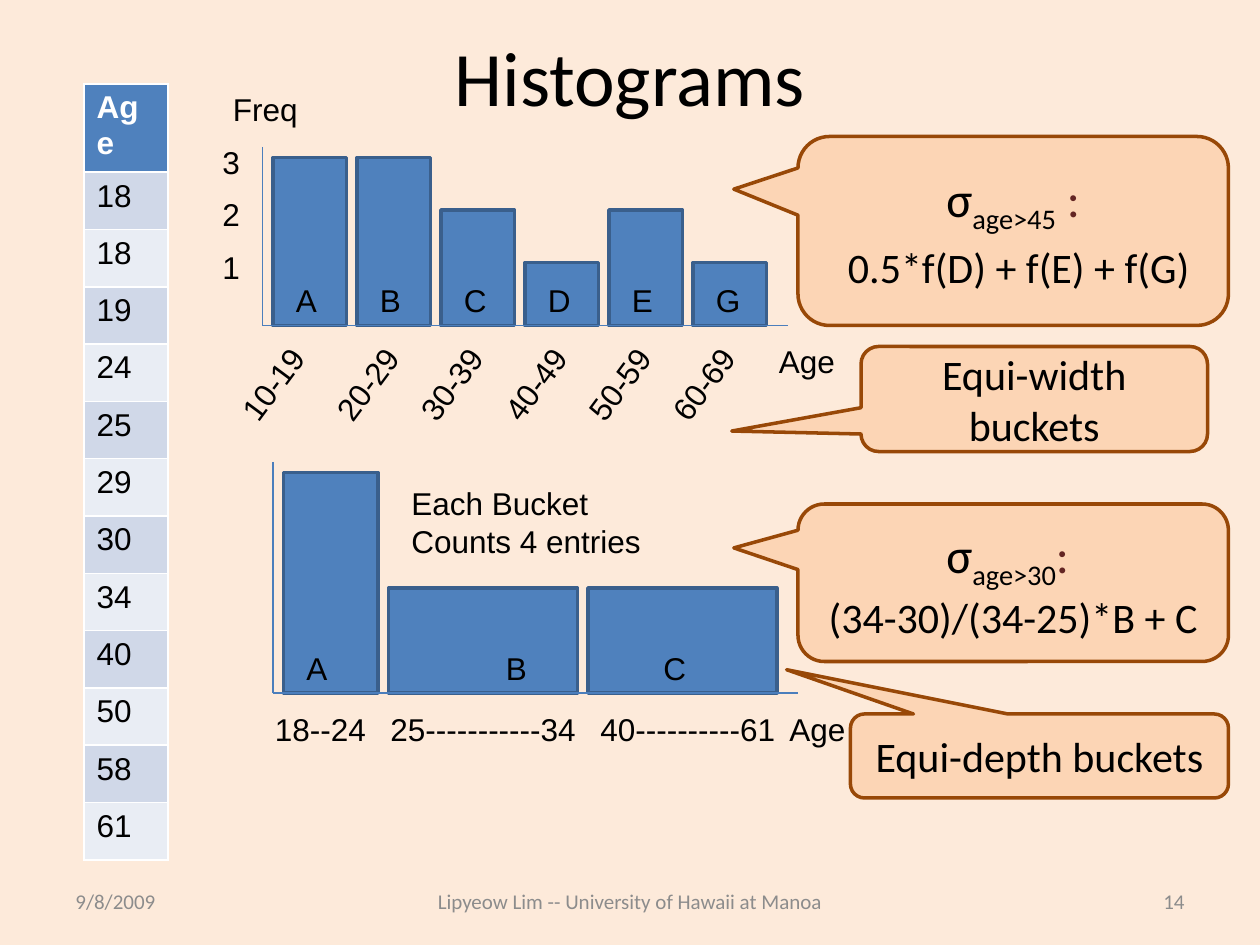
from dataclasses import dataclass

from lxml.etree import SubElement
from pptx import Presentation
from pptx.dml.color import RGBColor
from pptx.enum.shapes import MSO_CONNECTOR, MSO_SHAPE
from pptx.enum.text import MSO_ANCHOR, PP_ALIGN
from pptx.oxml.ns import qn
from pptx.util import Inches, Pt

COLUMNS = 120
SLIDE_WIDTH, SLIDE_HEIGHT = Inches(10), Inches(7.5)
LABEL_ROWS = 4.8


@dataclass(frozen=True)
class Theme:
    background: str = "FDEADA"
    ink: str = "000000"
    header_ink: str = "FFFFFF"
    muted: str = "8C8C8C"
    accent_ink: str = "632523"
    bar: str = "4F81BD"
    bar_line: str = "3A5F8C"
    axis: str = "4B7EBC"
    callout: str = "FCD5B5"
    callout_line: str = "984807"
    bands: tuple = ("D0D8E8", "E9EDF4")
    heading_font: str = "Calibri"
    label_font: str = "Arial"
    title_size: int = 44
    symbol_size: int = 28
    callout_size: int = 24
    label_size: int = 18
    footer_size: int = 12


THEME = Theme()


def grid(*cells):
    return [round(SLIDE_WIDTH * cell / COLUMNS) for cell in cells]


def rgb(color):
    return RGBColor.from_string(color)


def add_run(paragraph, text, size, font=THEME.label_font, color=THEME.ink, bold=False, baseline=0):
    run = paragraph.add_run()
    run.text = text
    run.font.size = Pt(size)
    run.font.name = font
    run.font.bold = bold
    run.font.color.rgb = rgb(color)
    if baseline:
        run.font._element.set("baseline", str(baseline * 1000))


def add_paragraphs(text_frame, count):
    return [text_frame.paragraphs[0]] + [text_frame.add_paragraph() for _ in range(count - 1)]


def add_label(slide, text, column, row, width, height=LABEL_ROWS, rotation=0):
    shape = slide.shapes.add_textbox(*grid(column, row, width, height))
    shape.rotation = rotation
    shape.text_frame.word_wrap = False
    lines = text.split("\n")
    for paragraph, line in zip(add_paragraphs(shape.text_frame, len(lines)), lines):
        add_run(paragraph, line, THEME.label_size)


def add_heading(slide, text, area, size, color, alignment):
    shape = slide.shapes.add_textbox(*grid(*area))
    shape.text_frame.word_wrap = True
    shape.text_frame.vertical_anchor = MSO_ANCHOR.MIDDLE
    paragraph = shape.text_frame.paragraphs[0]
    paragraph.alignment = alignment
    add_run(paragraph, text, size, THEME.heading_font, color)


def add_box(slide, kind, area, fill, line):
    shape = slide.shapes.add_shape(kind, *grid(*area))
    shape.shadow.inherit = False
    shape.fill.solid()
    shape.fill.fore_color.rgb = rgb(fill)
    shape.line.color.rgb = rgb(line)
    shape.line.width = Pt(2)
    return shape


def add_bar(slide, column, baseline, width, height):
    area = (column, baseline - height, width, height)
    add_box(slide, MSO_SHAPE.RECTANGLE, area, THEME.bar, THEME.bar_line)


def add_axes(slide, left, top, right, bottom):
    for start in ((left, top), (right, bottom)):
        line = slide.shapes.add_connector(MSO_CONNECTOR.STRAIGHT, *grid(*start, left, bottom))
        line.line.color.rgb = rgb(THEME.axis)
        line.line.width = Pt(0.75)
        SubElement(line._element.spPr, qn("a:effectLst"))


def add_callout(slide, area, pointer, lines):
    shape = add_box(slide, MSO_SHAPE.ROUNDED_RECTANGULAR_CALLOUT, area,
                    THEME.callout, THEME.callout_line)
    for index, value in enumerate(pointer):
        shape.adjustments[index] = value
    shape.text_frame.vertical_anchor = MSO_ANCHOR.MIDDLE
    for paragraph, runs in zip(add_paragraphs(shape.text_frame, len(lines)), lines):
        paragraph.alignment = PP_ALIGN.CENTER
        for text, size, color, baseline in runs:
            add_run(paragraph, text, size, THEME.heading_font, color, baseline=baseline)


def plain(text, size=THEME.callout_size):
    return (text, size, THEME.ink, 0)


def selection(condition, ending):
    size = THEME.symbol_size
    return [plain("σ", size), (condition, size, THEME.ink, -25), (ending, size, THEME.accent_ink, 0)]


def add_age_table(slide, ages):
    values = ["Age"] + ages
    area = grid(8, 8, 8, 5.46 * len(values))
    table = slide.shapes.add_table(len(values), 1, *area).table
    for index, value in enumerate(values):
        header = index == 0
        cell = table.cell(index, 0)
        cell.fill.solid()
        cell.fill.fore_color.rgb = rgb(THEME.bar if header else THEME.bands[(index - 1) % 2])
        add_run(cell.text_frame.paragraphs[0], str(value), THEME.label_size,
                color=THEME.header_ink if header else THEME.ink, bold=header)


def add_equal_width_histogram(slide):
    frequencies = [3, 3, 2, 1, 2, 1]
    for index, frequency in enumerate(frequencies):
        add_bar(slide, 26 + 8 * index, 31, 7, 1 + 5 * frequency)
    add_axes(slide, 25, 14, 75, 31)
    add_label(slide, "Freq", 21, 8, 8.6)
    for index, tick in enumerate("321"):
        add_label(slide, tick, 20, 13 + 5 * index, 4.1)
    for index, letter in enumerate("ABCDEG"):
        decade = 10 * (index + 1)
        column = 21.9 + 8 * index - (index == 0)
        add_label(slide, f"{decade}-{decade + 9}", column, 34.1, 10.2, rotation=306.6)
        add_label(slide, letter, 27 + 8 * index, 26.2, 4.5)
    add_label(slide, "Age", 73, 32, 7.8)


def add_equal_depth_histogram(slide):
    for column, width, height in ((27, 9, 21), (37, 18, 10), (56, 18, 10)):
        add_bar(slide, column, 66, width, height)
    add_axes(slide, 26, 44, 76, 66)
    for text, column, width in (("18--24", 25, 11.2), ("25-----------34", 36, 20.3),
                                ("40----------61", 56, 19.2), ("Age", 74, 7.8)):
        add_label(slide, text, column, 67, width)
    for letter, column in zip("ABC", (28, 47, 62)):
        add_label(slide, letter, column, 61.2, 4.5)
    add_label(slide, "Each Bucket \nCounts 4 entries", 38, 45.5, 24.5, 8.5)


def add_callouts(slide):
    add_callout(slide, (76, 13, 41, 18), (-0.649, -0.221, 0.167),
                [selection("age>45", " :"),
                 [plain(" ", THEME.symbol_size), plain("0.5*f(D) + f(E) + f(G)")]])
    add_callout(slide, (82, 33, 33, 10), (-0.873, 0.305, 0.167), [[plain("Equi-width buckets")]])
    add_callout(slide, (81, 68, 36, 8), (-0.669, -1.028, 0.167), [[plain("Equi-depth buckets")]])
    add_callout(slide, (76, 48, 41, 15), (-0.649, -0.221, 0.167),
                [selection("age>30", ": "), [plain("(34-30)/(34-25)*B + C")]])


def main():
    presentation = Presentation()
    presentation.slide_width, presentation.slide_height = SLIDE_WIDTH, SLIDE_HEIGHT
    slide = presentation.slides.add_slide(presentation.slide_layouts[6])
    slide.background.fill.solid()
    slide.background.fill.fore_color.rgb = rgb(THEME.background)
    add_heading(slide, "Histograms", (6, 3, 108, 8.4), THEME.title_size, THEME.ink, PP_ALIGN.CENTER)
    for text, column, width, alignment in (
            ("9/8/2009", 6, 28, PP_ALIGN.LEFT),
            ("Lipyeow Lim -- University of Hawaii at Manoa", 36, 48, PP_ALIGN.CENTER),
            ("14", 86, 28, PP_ALIGN.RIGHT)):
        add_heading(slide, text, (column, 83.4, width, LABEL_ROWS),
                    THEME.footer_size, THEME.muted, alignment)
    add_age_table(slide, [18, 18, 19, 24, 25, 29, 30, 34, 40, 50, 58, 61])
    add_equal_width_histogram(slide)
    add_equal_depth_histogram(slide)
    add_callouts(slide)
    presentation.save("out.pptx")


main()
